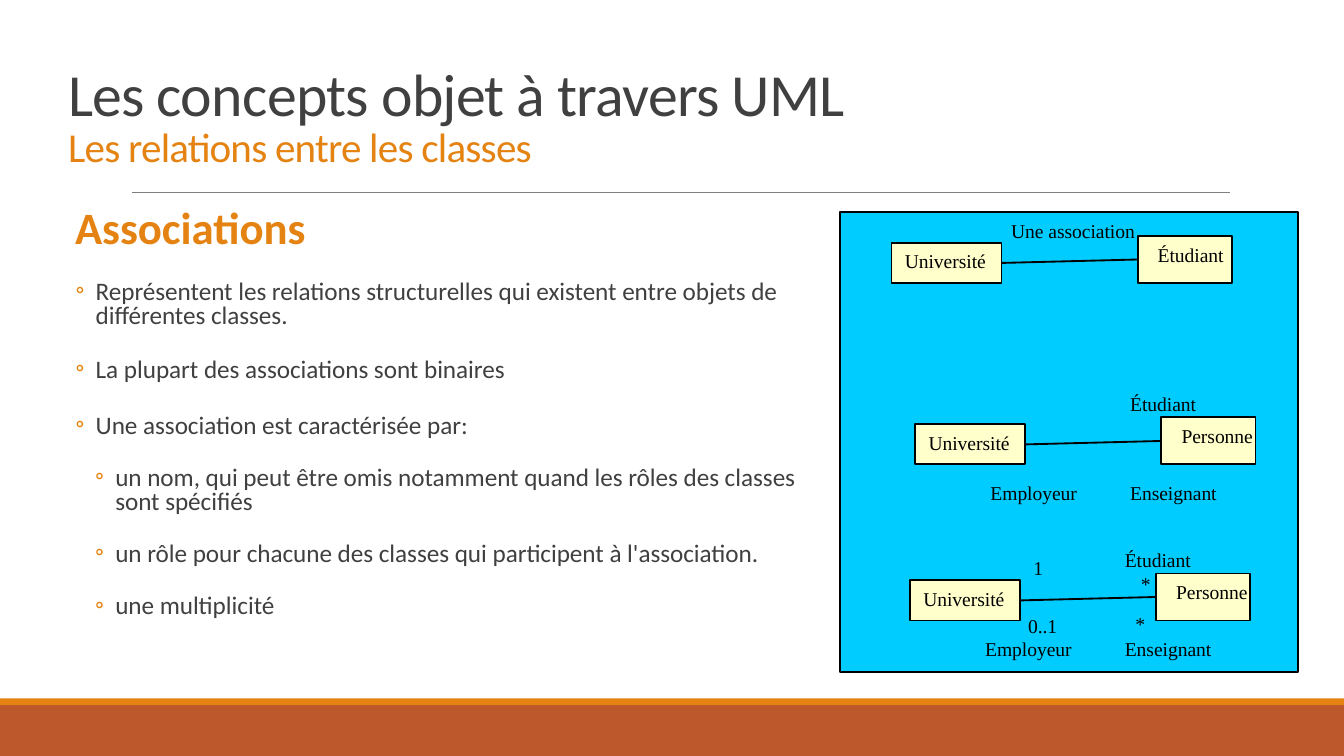
import pptx
import pptx.util
import pptx.dml.color
import pptx.enum.shapes
import pptx.enum.text
import pptx.oxml
import pptx.oxml.ns
from pptx.util import Cm, Pt

ORANGE, GREY, BLACK = "E48312", "404040", "000000"
SANS, SERIF = "Calibri", "Times New Roman"

POINTS = [
    (1, 15, "Représentent les relations structurelles qui existent entre objets de différentes classes."),
    (1, 16, "La plupart des associations sont binaires"),
    (1, 17, "Une association est caractérisée par:"),
    (2, 15, "un nom, qui peut être omis notamment quand les rôles des classes sont spécifiés"),
    (2, 15, "un rôle pour chacune des classes qui participent à l'association."),
    (2, 15, "une multiplicité"),
]

NAME = [("Une association", 2.01, -0.58, 2.9)]
ROLES = [
    ("Étudiant", 3.81, -0.74, 1.78),
    ("Employeur", 1.17, 0.94, 2.16),
    ("Enseignant", 3.81, 0.94, 2.16),
]
COUNTS = [
    ("1", 2.08, -0.58, 0.71),
    ("0..1", 1.98, 0.51, 1.07),
    ("*", 4.01, 0.48, 0.71),
    ("*", 4.11, -0.28, 0.71),
]
ROWS = [
    (0.97, 0.58, "Étudiant", NAME),
    (1.42, 4.01, "Personne", ROLES),
    (1.32, 6.96, "Personne", ROLES + COUNTS),
]


def color(code):
    """Turn a hex string into a colour."""
    return pptx.dml.color.RGBColor.from_string(code)


def write(para, text, size, code, font, bold=False):
    """Add one run to a paragraph."""
    run = para.add_run()
    run.text = text
    run.font.size = Pt(size)
    run.font.name = font
    run.font.bold = bold
    run.font.color.rgb = color(code)
    return run


def rect(slide, box, fill, edge=None):
    """Draw a plain rectangle."""
    shape = slide.shapes.add_shape(
        pptx.enum.shapes.MSO_SHAPE.RECTANGLE, *map(Cm, box))
    shape.shadow.inherit = False
    shape.fill.solid()
    shape.fill.fore_color.rgb = color(fill)
    if edge:
        shape.line.color.rgb = color(edge)
        shape.line.width = Pt(1)
    else:
        shape.line.fill.background()
    return shape


def rule(slide, ends, code, width):
    """Draw a straight line."""
    line = slide.shapes.add_connector(
        pptx.enum.shapes.MSO_CONNECTOR.STRAIGHT, *map(Cm, ends))
    line.line.color.rgb = color(code)
    line.line.width = Pt(width)
    props = line._element.spPr
    props.append(pptx.oxml.parse_xml(
        "<a:effectLst %s/>" % pptx.oxml.ns.nsdecls("a")))
    return line


def footer(slide, box):
    """Draw the bottom bands."""
    x, y, w, h = box
    thin = 0.13
    rect(slide, (x, y + thin, w, h - thin), "BD582C")
    rect(slide, (x, y, w, thin), ORANGE)


def heading(slide, box):
    """Write the title and subtitle above their rule."""
    x, y, w, h = box
    frame = slide.shapes.add_textbox(*map(Cm, box)).text_frame
    frame.word_wrap = True
    frame.vertical_anchor = pptx.enum.text.MSO_ANCHOR.BOTTOM
    para = frame.paragraphs[0]
    para.line_spacing = 0.85
    top = write(para, "Les concepts objet à travers UML", 32, GREY, SANS)
    para.add_line_break()
    sub = write(para, "Les relations entre les classes", 22, ORANGE, SANS)
    for run in (top, sub):
        run.font._element.set("spc", "-40")
    low = y + h + 0.28
    rule(slide, (x + 1.45, low, x + w + 0.43, low), "808080", 0.5)


def bullet(para, left):
    """Give a paragraph a hanging round bullet."""
    props = para._p.get_or_add_pPr()
    props.set("marL", str(Cm(left)))
    props.set("indent", str(Cm(-0.38)))
    space = pptx.oxml.ns.nsdecls("a")
    for xml in ('<a:buClr %s><a:srgbClr val="' + ORANGE + '"/></a:buClr>',
                '<a:buFont %s typeface="Calibri"/>',
                '<a:buChar %s char="◦"/>'):
        props.append(pptx.oxml.parse_xml(xml % space))


def body(slide, box):
    """Write the heading and its two-level list."""
    frame = slide.shapes.add_textbox(*map(Cm, box)).text_frame
    frame.word_wrap = True
    frame.margin_left = frame.margin_right = 0
    para = frame.paragraphs[0]
    para._p.get_or_add_pPr().set("marL", str(Cm(0.81)))
    para.line_spacing = 0.8
    write(para, "Associations", 24, ORANGE, SANS, True)
    for level, gap, text in POINTS:
        para = frame.add_paragraph()
        bullet(para, 0.83 + 0.37 * level)
        para.line_spacing = 0.8
        para.space_before = Pt(gap)
        write(para, text, 13.5, GREY, SANS)


def entity(slide, box, text, inset):
    """Draw a class box with its name."""
    shape = rect(slide, box, "FFFFCC", BLACK)
    frame = shape.text_frame
    frame.word_wrap = True
    frame.vertical_anchor = pptx.enum.text.MSO_ANCHOR.TOP
    frame.margin_left, frame.margin_right = Cm(inset), 0
    para = frame.paragraphs[0]
    para.alignment = pptx.enum.text.PP_ALIGN.LEFT
    write(para, text, 10.5, BLACK, SERIF)
    return shape


def label(slide, box, text):
    """Write a small free label."""
    frame = slide.shapes.add_textbox(*map(Cm, box)).text_frame
    frame.word_wrap = False
    write(frame.paragraphs[0], text, 10.5, BLACK, SERIF)


def diagram(slide, box):
    """Draw the panel of three associations."""
    rect(slide, box, "00CCFF", BLACK)
    for dx, dy, name, notes in ROWS:
        x, y = box[0] + dx, box[1] + dy
        left = entity(slide, (x, y, 2.08, 0.76), "Université", 0.25)
        right = entity(slide, (x + 4.65, y - 0.13, 1.78, 0.89), name, 0.38)
        link = rule(slide, (x + 2.08, y + 0.38, x + 4.65, y + 0.32), BLACK, 1)
        link.begin_connect(left, 3)
        link.end_connect(right, 1)
        for text, across, down, w in notes:
            label(slide, (x + across, y + down, w, 0.71), text)


def main():
    """Build and save the slide."""
    deck = pptx.Presentation()
    deck.slide_width, deck.slide_height = Cm(25.4), Cm(14.29)
    slide = deck.slides.add_slide(deck.slide_layouts[6])
    footer(slide, (0, 13.2, 25.4, 1.09))
    heading(slide, (1.04, 1.04, 21.77, 2.31))
    body(slide, (0.61, 3.84, 15.29, 9.02))
    diagram(slide, (15.88, 4.01, 8.66, 8.69))
    deck.save("out.pptx")


if __name__ == "__main__":
    main()
